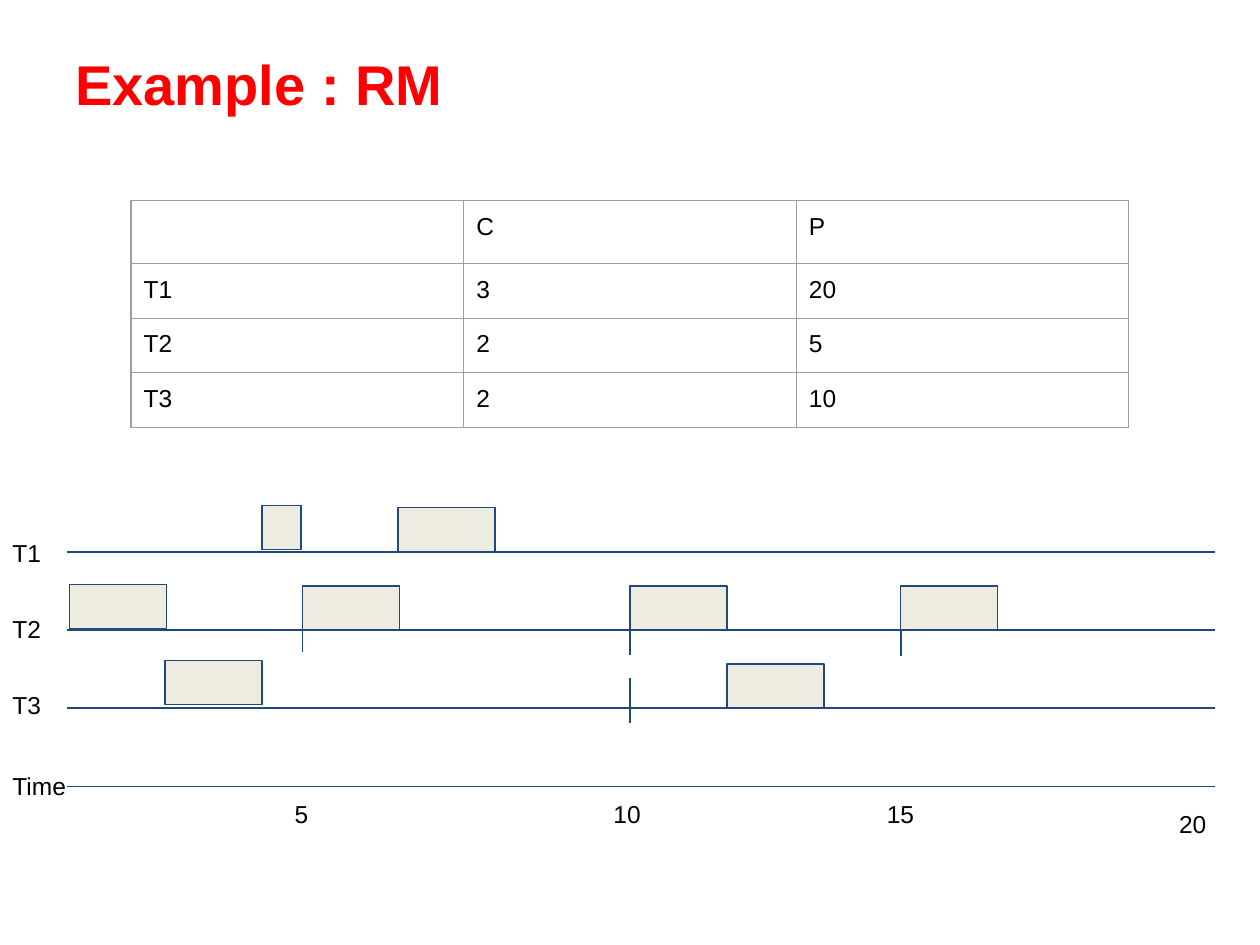
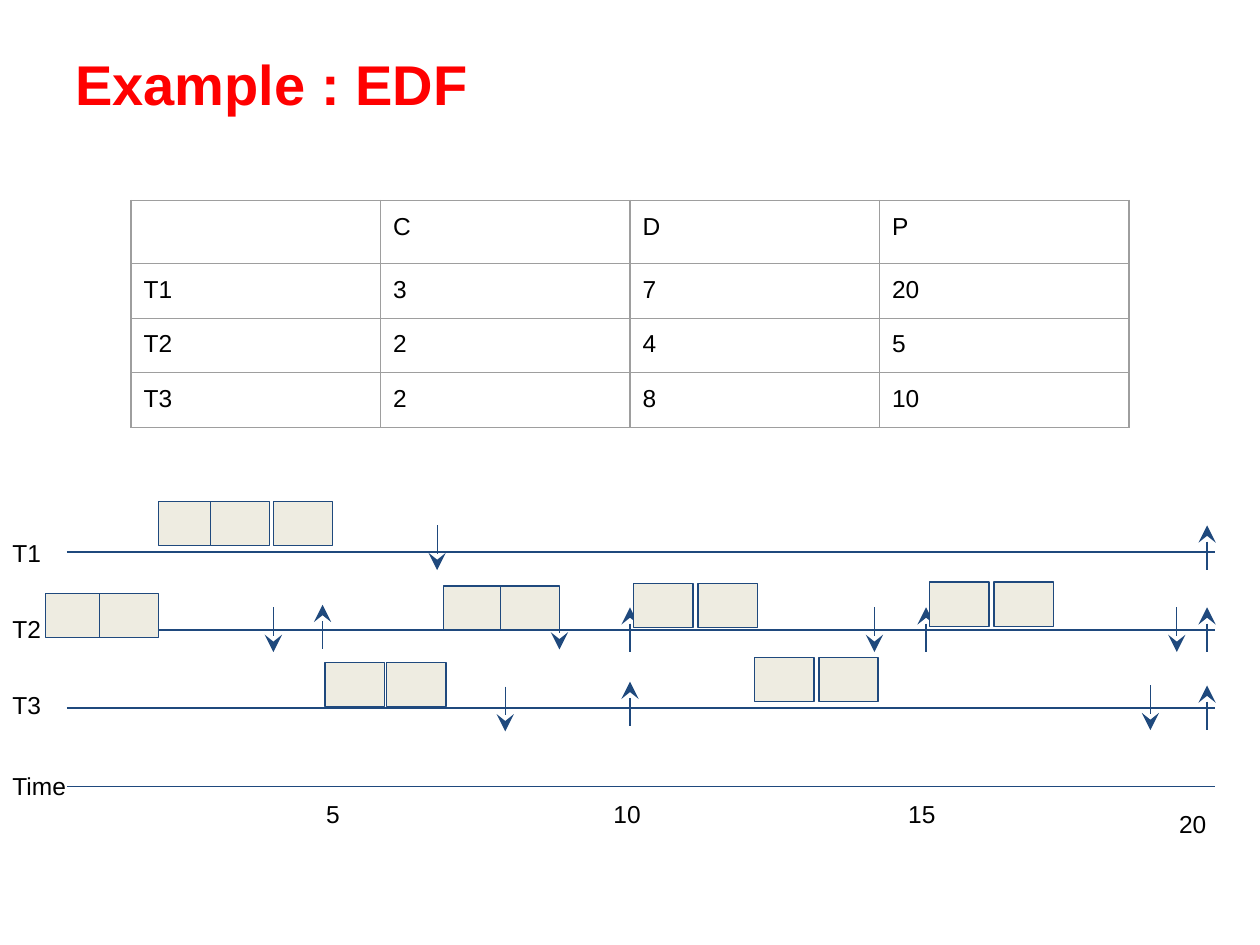
import lxml.etree
import pptx
import pptx.dml.color
import pptx.enum.shapes
import pptx.enum.text
import pptx.oxml
import pptx.oxml.ns
import pptx.util

Inches = pptx.util.Inches
Pt = pptx.util.Pt
qn = pptx.oxml.ns.qn

TICK_HEIGHT = 0.355
BLOCK_HEIGHT = 0.35
AXIS_LEFT, AXIS_RIGHT = 0.53, 9.64
AXIS_TOP, AXIS_STEP = 4.38, 0.62
ROW_LABELS = [("T1", 4.17), ("T2", 4.77), ("T3", 5.38), ("Time", 6.02)]


def colour(value):
    return pptx.dml.color.RGBColor.from_string(value)


class Schedule:
    font = "Arial"
    title_colour = "FF0000"
    text_colour = "000000"
    line_colour = "1F497D"
    block_colour = "EEECE1"
    border_colour = "9E9E9E"
    line_width = Pt(0.75)
    inset = Inches(0.1)

    def __init__(self, deck):
        self.deck = deck
        self.page = None

    def add_page(self, title):
        self.page = self.deck.slides.add_slide(self.deck.slide_layouts[6])
        box = self.text(title, 0.5, 0.3, 9, 0.72, 32, self.title_colour, True)
        box.text_frame.vertical_anchor = pptx.enum.text.MSO_ANCHOR.MIDDLE

    def format_runs(self, frame, size, shade, bold):
        for para in frame.paragraphs:
            for span in para.runs:
                span.font.name = self.font
                span.font.size = Pt(size)
                span.font.bold = bold
                span.font.color.rgb = colour(shade)

    def text(self, words, left, top, width=0.63, height=0.93, size=14,
             shade=text_colour, bold=False):
        box = self.page.shapes.add_textbox(
            Inches(left), Inches(top), Inches(width), Inches(height))
        frame = box.text_frame
        frame.word_wrap = True
        frame.margin_left = frame.margin_right = self.inset
        frame.margin_top = frame.margin_bottom = self.inset
        frame.text = words
        self.format_runs(frame, size, shade, bold)
        return box

    def border(self, cell):
        properties = cell._tc.get_or_add_tcPr()
        for position, side in enumerate(("lnL", "lnR", "lnT", "lnB")):
            edge = lxml.etree.Element(qn(f"a:{side}"), w=str(self.line_width))
            fill = lxml.etree.SubElement(edge, qn("a:solidFill"))
            lxml.etree.SubElement(fill, qn("a:srgbClr"), val=self.border_colour)
            properties.insert(position, edge)

    def table(self, rows):
        width, header_height, row_height = 7.92, 0.48, 0.42
        columns = len(rows[0])
        frame = self.page.shapes.add_table(
            len(rows), columns, Inches(1.04), Inches(1.59), Inches(width),
            Inches(header_height + row_height * (len(rows) - 1)))
        table = frame.table
        table.first_row = table.horz_banding = False
        for column in table.columns:
            column.width = Inches(width / columns)
        for index, values in enumerate(rows):
            table.rows[index].height = Inches(row_height if index else header_height)
            for cell, value in zip(table.rows[index].cells, values):
                cell.margin_left = cell.margin_right = self.inset
                cell.margin_top = cell.margin_bottom = self.inset
                cell.fill.background()
                self.border(cell)
                if value:
                    cell.text = value
                    self.format_runs(cell.text_frame, 14, self.text_colour, False)

    def line(self, left, top, right, bottom, arrow_end=None):
        connector = self.page.shapes.add_connector(
            pptx.enum.shapes.MSO_CONNECTOR.STRAIGHT,
            Inches(left), Inches(top), Inches(right), Inches(bottom))
        connector.line.color.rgb = colour(self.line_colour)
        connector.line.width = self.line_width
        if arrow_end:
            lxml.etree.SubElement(connector.line._get_or_add_ln(), qn(f"a:{arrow_end}"),
                                  type="stealth", w="lg", len="lg")
        lxml.etree.SubElement(connector._element.spPr, qn("a:effectLst"))

    def ticks(self, marks, arrow_end=None):
        for left, top in marks:
            self.line(left, top, left, top + TICK_HEIGHT, arrow_end)

    def block(self, left, top, width):
        box = self.page.shapes.add_shape(
            pptx.enum.shapes.MSO_SHAPE.RECTANGLE,
            Inches(left), Inches(top), Inches(width), Inches(BLOCK_HEIGHT))
        box.shadow.inherit = False
        box.fill.solid()
        box.fill.fore_color.rgb = colour(self.block_colour)
        box.line.color.rgb = colour(self.line_colour)
        box.line.width = self.line_width

    def blocks(self, places, width):
        for left, top in places:
            self.block(left, top, width)

    def timeline(self, five_left, fifteen_left):
        for index, (label, top) in enumerate(ROW_LABELS):
            axis = AXIS_TOP + AXIS_STEP * index
            self.line(AXIS_LEFT, axis, AXIS_RIGHT, axis)
            self.text(label, 0, top, 0.63 if label == "T3" else 8.01)
        self.text("5", five_left, 6.24, 0.47)
        self.text("10", 4.77, 6.24)
        self.text("15", fifteen_left, 6.24)
        self.text("20", 9.26, 6.32)


def build_rm(schedule):
    schedule.add_page("Example : RM")
    schedule.table([["", "C", "P"], ["T1", "3", "20"],
                    ["T2", "2", "5"], ["T3", "2", "10"]])
    schedule.timeline(2.24, 6.94)
    schedule.ticks([(2.4, 4.82), (5, 4.84), (7.15, 4.85), (5, 5.38)])
    schedule.block(2.08, 4.01, 0.31)
    schedule.blocks([(3.16, 4.03), (0.55, 4.64), (2.4, 4.65), (5, 4.65),
                     (7.15, 4.65), (1.31, 5.24), (5.77, 5.27)], 0.77)


def build_edf(schedule):
    schedule.add_page("Example : EDF")
    schedule.table([["", "C", "D", "P"], ["T1", "3", "7", "20"],
                    ["T2", "2", "4", "5"], ["T3", "2", "8", "10"]])
    schedule.timeline(2.49, 7.11)
    releases = [(9.58, 4.17), (2.56, 4.8), (5, 4.82), (7.35, 4.82),
                (9.58, 4.82), (5, 5.41), (9.58, 5.44)]
    deadlines = [(3.47, 4.17), (2.17, 4.82), (4.44, 4.8), (6.94, 4.82),
                 (9.34, 4.82), (4.01, 5.45), (9.13, 5.44)]
    schedule.ticks(releases, "headEnd")
    schedule.ticks(deadlines, "tailEnd")
    t1_blocks = [(1.26, 3.98), (1.67, 3.98), (2.17, 3.98)]
    t2_blocks = [(0.36, 4.71), (0.79, 4.71), (3.52, 4.65), (3.97, 4.65),
                 (5.03, 4.63), (5.54, 4.63), (7.38, 4.62), (7.89, 4.62)]
    t3_blocks = [(2.58, 5.26), (3.07, 5.26), (5.99, 5.22), (6.5, 5.22)]
    schedule.blocks(t1_blocks + t2_blocks + t3_blocks, 0.47)


def main():
    deck = pptx.Presentation()
    deck.slide_width = Inches(10)
    deck.slide_height = Inches(7.5)
    schedule = Schedule(deck)
    build_rm(schedule)
    build_edf(schedule)
    deck.save("out.pptx")


if __name__ == "__main__":
    main()
